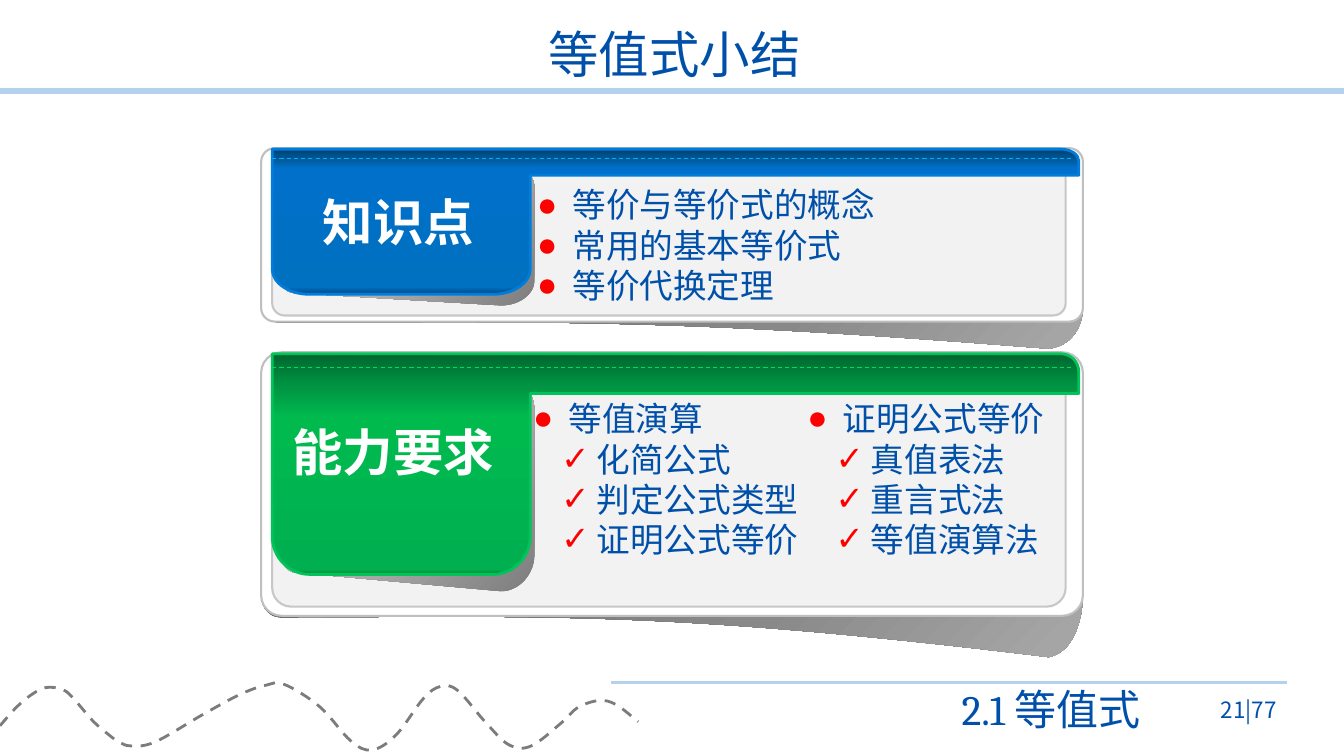
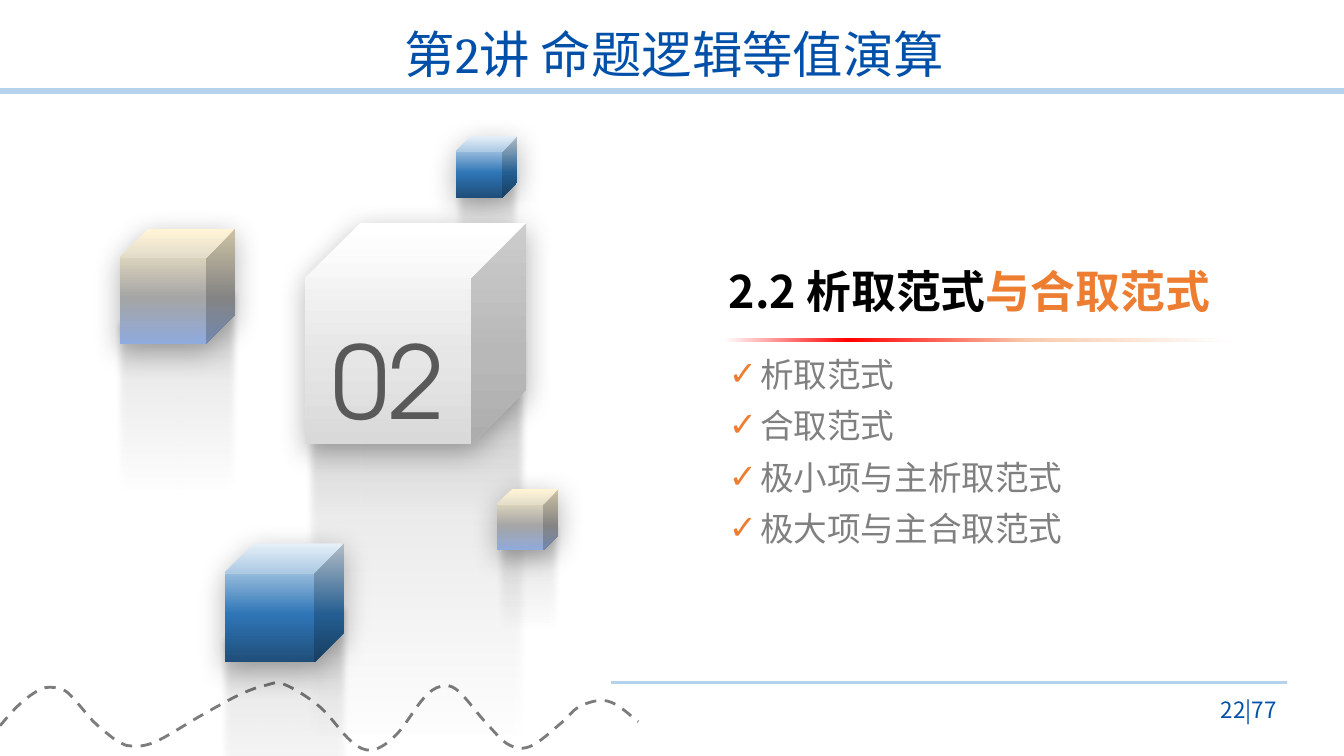
from lxml.etree import SubElement
from pptx import Presentation
from pptx.dml.color import RGBColor
from pptx.enum.dml import MSO_LINE
from pptx.enum.shapes import MSO_CONNECTOR, MSO_SHAPE
from pptx.enum.text import MSO_ANCHOR, PP_ALIGN
from pptx.oxml.ns import qn
from pptx.util import Pt

PX = 9144
CJK = "Noto Sans CJK SC"
SERIF = "Cambria"
GEOMETRIC = "TeX Gyre Adventor"
BULLET_FONT = "Arial"

COLORS = {
    "rule": "B5D2EC", "wave": "7C7C7C", "navy": "0050AA", "white": "FFFFFF",
    "black": "000000", "red": "FF0000", "orange": "ED7D31", "peach": "F8CBAD",
    "gray": "808080", "number": "595959", "card": "F2F2F2",
    "card_line": "BFBFBF", "inner_line": "C7C7C7", "soot": "262626",
    "shade_dark": "5F5F5F", "shade_mid": "898989", "shade_light": "A5A5A5",
    "fold_dark": "7D7D7D", "fold_mid": "B4B4B4", "fold_light": "D8D8D8",
    "blue_top": "00416F", "blue_upper": "005DA0", "blue_bright": "0070CB",
    "blue": "0070C0", "blue_bottom": "004987", "blue_line": "007DDA",
    "blue_stitch": "00B0F0",
    "green_top": "00662E", "green_upper": "009242", "green_bright": "00BA4E",
    "green": "00B050", "green_bottom": "007A30", "green_line": "00C459",
    "green_stitch": "00DA63",
    "ice": "DEEBF7", "steel": "2E75B6", "deep": "1F4E79",
    "cream": "FFF2CC", "periwinkle": "8FAADC",
    "silver": "E7E6E6", "platinum": "D9D9D9",
}

GRADIENTS = {
    "card_shadow": (45, [(0, "shade_dark"), (68, "shade_mid"), (97, "shade_light"), (100, "shade_light")]),
    "tab_shadow": (225, [(0, "fold_dark"), (50, "fold_mid"), (100, "fold_light")]),
    "blue_tab": (90, [(0, "blue_top"), (8, "blue_upper"), (13, "blue_bright"), (95, "blue"), (100, "blue_bottom")]),
    "green_tab": (90, [(0, "green_top"), (14, "green_upper"), (29, "green_bright"), (98, "green"), (100, "green_bottom")]),
    "reflection": (90, [(30, "black", 0), (50, "black", 4), (70, "black", 8), (100, "soot", 30)]),
    "blue_cube": (90, [(1, "ice"), (60, "steel"), (100, "deep")]),
    "cream_cube": (90, [(1, "cream"), (60, "shade_light"), (100, "periwinkle")]),
    "white_cube": (90, [(0, "white"), (60, "silver"), (100, "platinum")]),
    "divider": (0, [(1, "white"), (25, "red"), (60, "peach"), (99, "white")]),
}

WAVE = [
    (0, 720), (17, 701), (33, 688), (46, 682), (62, 684), (73, 693), (92, 715),
    (108, 729), (118, 736), (130, 740), (154, 736), (201, 709), (238, 689),
    (263, 680), (282, 679), (317, 701), (348, 735), (369, 744), (393, 729),
    (420, 693), (437, 681), (454, 685), (482, 717), (505, 739), (527, 740),
    (557, 717), (573, 702), (594, 695), (611, 699), (633, 716),
]
CARD_SHADOW = [
    (259, 13), (259, 6, 268, 0, 278, 0), (1056, 0), (1066, 0, 1074, 6, 1074, 13),
    (1074, 158), (1074, 166, 1070, 194, 1040, 198), (653, 167, 537, 172, 278, 172),
    (268, 172, 259, 166, 259, 158),
]
TAB_SHADOW = [
    (285, 37), (285, 24, 300, 13, 318, 13), (497, 13), (515, 13, 530, 24, 530, 37),
    (530, 131), (530, 144, 515, 155, 497, 155), (296, 143),
    (278, 143, 280, 133, 280, 120), (280, 88, 285, 68, 285, 37),
]
TAB = [
    (270, 0), (1052, 0), (1062, 0, 1070, 5, 1070, 12), (1070, 26), (526, 26),
    (526, 119), (526, 133, 509, 144, 489, 144), (307, 144),
    (287, 144, 270, 133, 270, 119),
]

TITLE = {"size": 36, "font": SERIF, "color": "navy"}
SECTION = {"size": 30, "font": SERIF, "color": "navy"}
PAGE = {"size": 16, "font": CJK, "color": "navy"}
TAB_LABEL = {"size": 36, "font": CJK, "color": "white", "bold": True}
PANEL_ITEM = {"size": 24, "font": CJK, "color": "navy"}
HEADING = {"size": 32, "font": CJK, "color": "black", "bold": True}
TOPIC = {"size": 24, "font": CJK, "color": "gray"}
CUBE_NUMBER = {"size": 72, "font": GEOMETRIC, "color": "number"}
DOT = {"char": "●", "color": "red", "margin": 35, "hang": 35, "level": 0}
CHECK = {"char": "✓", "color": "red", "margin": 63, "hang": 35, "level": 1}
TOPIC_CHECK = {"char": "✓", "color": "orange", "margin": 31, "hang": 31, "level": 0}


def rgb(name):
    return RGBColor.from_string(COLORS[name])


def emu(*lengths):
    return [round(length * PX) for length in lengths]


def set_values(target, **values):
    for name, value in values.items():
        setattr(target, name, value)


def add_color(parent, name, alpha=None):
    color = SubElement(parent, qn("a:srgbClr"), val=COLORS[name])
    if alpha is not None:
        SubElement(color, qn("a:alpha"), val=str(alpha * 1000))


def fill_gradient(shape, name):
    angle, stops = GRADIENTS[name]
    shape.fill.gradient()
    gradient = shape.element.spPr.find(qn("a:gradFill"))
    stop_list = gradient.find(qn("a:gsLst"))
    for old_stop in list(stop_list):
        stop_list.remove(old_stop)
    for position, color, *alpha in stops:
        add_color(SubElement(stop_list, qn("a:gs"), pos=str(position * 1000)), color, *alpha)
    gradient.find(qn("a:lin")).set("ang", str(angle * 60000))


def style_line(line, color, width, dash=None):
    line.color.rgb = rgb(color)
    set_values(line, width=Pt(width), dash_style=dash)


def paint(shape, fill=None, line=None):
    shape.shadow.inherit = False
    if fill in GRADIENTS:
        fill_gradient(shape, fill)
    elif fill:
        shape.fill.solid()
        shape.fill.fore_color.rgb = rgb(fill)
    else:
        shape.fill.background()
    if line:
        style_line(shape.line, *line)
    else:
        shape.line.fill.background()
    return shape


def add_preset(shapes, kind, box, fill, line=None, corner=None):
    shape = shapes.add_shape(kind, *emu(*box))
    if corner is not None:
        shape.adjustments[0] = corner
    return paint(shape, fill, line)


def add_line(shapes, start, end, color, width, dash=None):
    connector = shapes.add_connector(MSO_CONNECTOR.STRAIGHT, *emu(*start, *end))
    style_line(connector.line, color, width, dash)
    SubElement(connector.element.spPr, qn("a:effectLst"))


def smooth(knots):
    padded = [knots[0], *knots, knots[-1]]
    outline = [knots[0]]
    for before, start, end, after in zip(padded, padded[1:], padded[2:], padded[3:]):
        leave = [start[axis] + (end[axis] - before[axis]) / 6 for axis in (0, 1)]
        arrive = [end[axis] - (after[axis] - start[axis]) / 6 for axis in (0, 1)]
        outline.append((*leave, *arrive, *end))
    return outline


def bend_segments(shape, outline):
    lines = iter(list(shape.element.iter(qn("a:lnTo"))))
    for segment in outline[1:]:
        first = next(lines)
        if len(segment) == 6:
            first.tag = qn("a:cubicBezTo")
            for control in (next(lines), next(lines)):
                first.append(control.find(qn("a:pt")))
                control.getparent().remove(control)


def add_outline(shapes, outline, fill=None, line=None, top=0, stretch=1, close=True):
    points = [emu(x, top + y * stretch)
              for segment in outline for x, y in zip(segment[::2], segment[1::2])]
    builder = shapes.build_freeform(*points[0])
    builder.add_line_segments(points[1:], close=close)
    shape = builder.convert_to_shape()
    bend_segments(shape, outline)
    return paint(shape, fill, line)


def add_run(paragraph, text, size, font, color, bold=False):
    run = paragraph.add_run()
    run.text = text
    run.font.color.rgb = rgb(color)
    set_values(run.font, size=Pt(size), name=font, bold=bold)
    SubElement(run.font._element, qn("a:ea"), typeface=CJK)


def add_bullet(paragraph, char, color, margin, hang, level):
    paragraph.level = level
    properties = paragraph._p.get_or_add_pPr()
    properties.set("marL", str(margin * PX))
    properties.set("indent", str(-hang * PX))
    add_color(SubElement(properties, qn("a:buClr")), color)
    SubElement(properties, qn("a:buFont"), typeface=BULLET_FONT)
    SubElement(properties, qn("a:buChar"), char=char)


def add_text(shapes, box, lines, style, align=PP_ALIGN.LEFT, anchor=MSO_ANCHOR.TOP,
             spacing=None):
    frame = shapes.add_textbox(*emu(*box)).text_frame
    set_values(frame, word_wrap=True, vertical_anchor=anchor)
    for index, (text, bullet) in enumerate(lines):
        paragraph = frame.paragraphs[0] if index == 0 else frame.add_paragraph()
        if bullet:
            add_bullet(paragraph, **bullet)
        set_values(paragraph, alignment=align,
                   line_spacing=spacing or Pt(style["size"] * 1.2))
        add_run(paragraph, text, **style)
    return frame


def add_frame(presentation, title, page):
    shapes = presentation.slides.add_slide(presentation.slide_layouts[6]).shapes
    add_line(shapes, (0, 90), (1333, 90), "rule", 4)
    add_line(shapes, (606, 677), (1276, 677), "rule", 1.75)
    add_outline(shapes, smooth(WAVE), line=("wave", 2, MSO_LINE.DASH), close=False)
    add_text(shapes, (157, 24, 1024, 65), [(title, None)], TITLE,
             PP_ALIGN.CENTER, MSO_ANCHOR.MIDDLE, 0.9)
    add_text(shapes, (1171, 684, 105, 40), [(f"{page}|77", None)], PAGE,
             PP_ALIGN.RIGHT, MSO_ANCHOR.MIDDLE)
    return shapes


def add_panel(slide_shapes, top, stretch, hue, label, label_box, columns):
    shapes = slide_shapes.add_group_shape().shapes
    placed = {"top": top, "stretch": stretch}
    add_outline(shapes, CARD_SHADOW, "card_shadow", **placed)
    for left, offset, width, height, fill, line in (
            (259, -1, 815, 172, "white", "card_line"),
            (270, 6, 787, 159, "card", "inner_line")):
        box = (left, top + offset * stretch, width, height * stretch)
        add_preset(shapes, MSO_SHAPE.ROUNDED_RECTANGLE, box, fill, (line, 1.5), 0.078)
    add_outline(shapes, TAB_SHADOW, "tab_shadow", **placed)
    add_outline(shapes, TAB, f"{hue}_tab", (f"{hue}_line", 2), **placed)
    stitch = top + 9 * stretch
    add_line(shapes, (270, stitch), (1062, stitch), f"{hue}_stitch", 0.75, MSO_LINE.DASH)
    add_text(shapes, label_box, [(label, None)], TAB_LABEL, PP_ALIGN.CENTER)
    for box, lines in columns:
        add_text(shapes, box, lines, PANEL_ITEM)


def add_cube(slide_shapes, box, reflection_box, fill, number=None):
    shapes = slide_shapes.add_group_shape().shapes
    reflection = add_preset(shapes, MSO_SHAPE.CUBE, reflection_box, "reflection")
    reflection.rotation = 180
    SubElement(reflection.element.spPr.find(qn("a:effectLst")), qn("a:softEdge"), rad="63500")
    cube = add_preset(shapes, MSO_SHAPE.CUBE, box, fill)
    shadow = SubElement(cube.element.spPr.find(qn("a:effectLst")), qn("a:outerShdw"),
                        blurRad=str(Pt(20)), dist=str(Pt(5)), dir=str(90 * 60000))
    add_color(shadow, "black", 30)
    if number:
        cube.text_frame.vertical_anchor = MSO_ANCHOR.MIDDLE
        paragraph = cube.text_frame.paragraphs[0]
        set_values(paragraph, alignment=PP_ALIGN.CENTER, line_spacing=1.3)
        add_run(paragraph, number, **CUBE_NUMBER)


def build_summary(presentation):
    shapes = add_frame(presentation, "等值式小结", 21)
    add_text(shapes, (550, 673, 591, 61), [("2.1 等值式", None)], SECTION, PP_ALIGN.RIGHT)
    concepts = [(text, DOT) for text in ("等价与等价式的概念", "常用的基本等价式", "等价代换定理")]
    add_panel(shapes, 148, 1, "blue", "知识点", (283, 185, 224, 71),
              [((523, 178, 496, 131), concepts)])
    skills = (
        (519, 283, "等值演算", ("化简公式", "判定公式类型", "证明公式等价")),
        (791, 276, "证明公式等价", ("真值表法", "重言式法", "等值演算法")),
    )
    columns = [((left, 390, width, 172), [(head, DOT)] + [(text, CHECK) for text in items])
               for left, width, head, items in skills]
    add_panel(shapes, 351, 1.52, "green", "能力要求", (278, 413, 224, 71), columns)


def build_section(presentation):
    shapes = add_frame(presentation, "第2讲 命题逻辑等值演算", 22)
    for cube in (
            ((452, 135, 61, 61), (449, 166, 68, 166), "blue_cube"),
            ((303, 221, 219, 220), (302, 332, 222, 594), "white_cube", "02"),
            ((223, 539, 118, 118), (217, 598, 131, 320), "blue_cube"),
            ((493, 485, 61, 61), (490, 516, 68, 166), "cream_cube"),
            ((119, 227, 114, 114), (113, 285, 126, 309), "cream_cube")):
        add_cube(shapes, *cube)
    heading = add_text(shapes, (713, 256, 530, 64), [("2.2 析取范式", None)], HEADING,
                       anchor=MSO_ANCHOR.BOTTOM)
    add_run(heading.paragraphs[0], "与合取范式", **{**HEADING, "color": "orange"})
    add_preset(shapes, MSO_SHAPE.ROUNDED_RECTANGLE, (713, 335, 512, 4), "divider", corner=0.5)
    topics = ("析取范式", "合取范式", "极小项与主析取范式", "极大项与主合取范式")
    for index, topic in enumerate(topics):
        add_text(shapes, (713, 346 + 51 * index, 372, 50), [(topic, TOPIC_CHECK)], TOPIC)


def main():
    presentation = Presentation()
    set_values(presentation, slide_width=1333 * PX, slide_height=750 * PX)
    build_summary(presentation)
    build_section(presentation)
    presentation.save("out.pptx")


if __name__ == "__main__":
    main()
